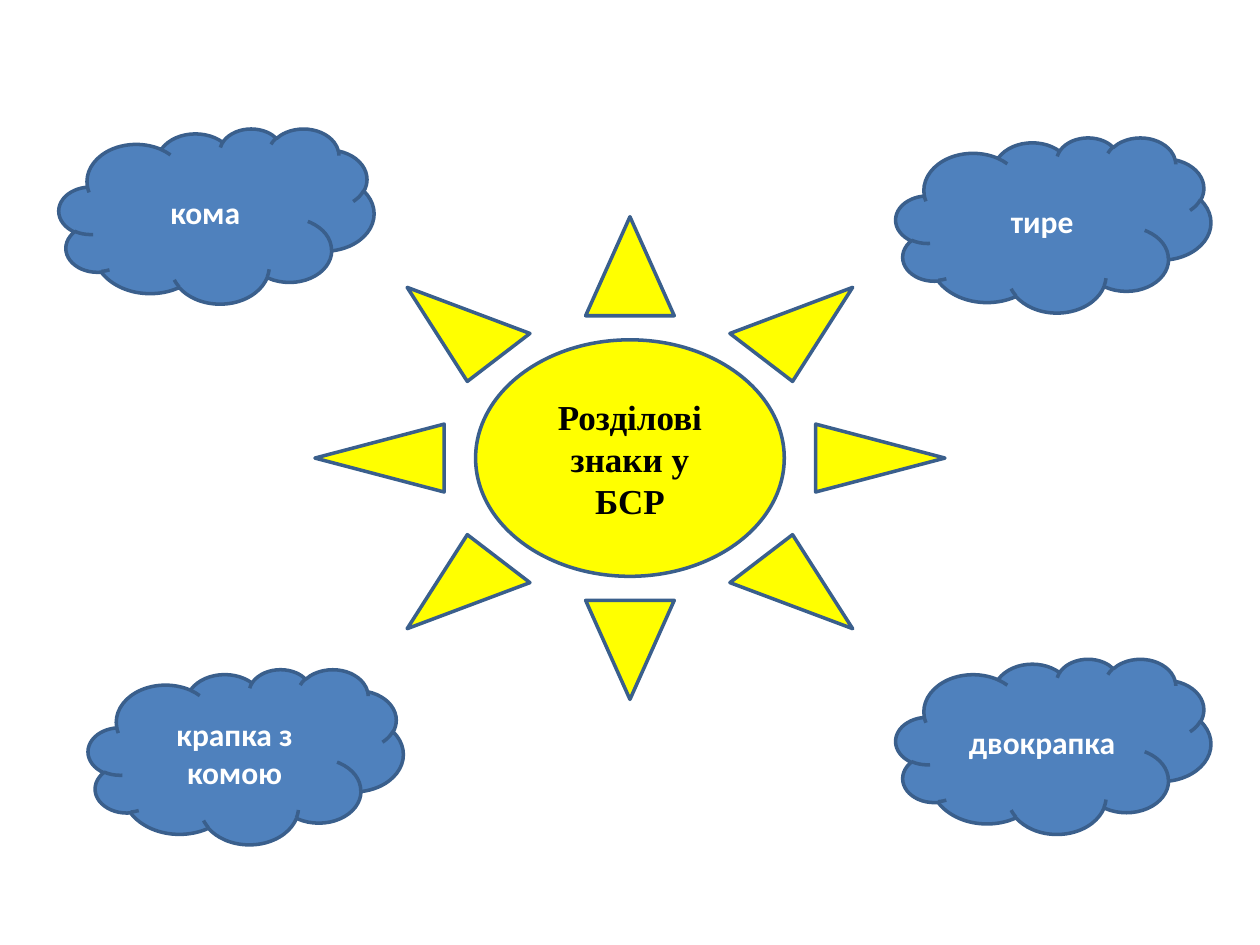
from dataclasses import dataclass
from typing import NamedTuple

from pptx import Presentation
from pptx.dml.color import RGBColor as Rgb
from pptx.enum.shapes import MSO_SHAPE as Preset
from pptx.enum.text import MSO_ANCHOR as Anchor, PP_ALIGN as Align
from pptx.util import Cm, Pt


class Box(NamedTuple):
    left: float
    top: float
    width: float
    height: float


@dataclass(frozen=True)
class Theme:
    sun: str = "FFFF00"
    cloud: str = "4F81BD"
    outline: str = "3A5F8C"
    dark: str = "000000"
    light: str = "FFFFFF"
    title_font: str = "Times New Roman"
    label_font: str = "Calibri"
    title_size: int = 20
    label_size: int = 18
    line_width: int = 2


THEME = Theme()
CLOUD_WIDTH, CLOUD_HEIGHT = 6.35, 3.53


def write_text(shape, text, *, font, size, color, bold=True):
    frame = shape.text_frame
    frame.word_wrap = True
    frame.vertical_anchor = Anchor.MIDDLE
    para = frame.paragraphs[0]
    para.alignment = Align.CENTER
    span = para.add_run()
    span.text = text
    span.font.name = font
    span.font.size = Pt(size)
    span.font.bold = bold
    span.font.color.rgb = Rgb.from_string(color)


def add_outlined(page, preset, box, fill):
    shape = page.shapes.add_shape(preset, *(Cm(length) for length in box))
    shape.shadow.inherit = False
    shape.fill.solid()
    shape.fill.fore_color.rgb = Rgb.from_string(fill)
    shape.line.color.rgb = Rgb.from_string(THEME.outline)
    shape.line.width = Pt(THEME.line_width)
    return shape


def add_sun(page, box, text):
    sun = add_outlined(page, Preset.SUN, box, THEME.sun)
    sun.adjustments[0] = 0.255
    write_text(sun, text, font=THEME.title_font, size=THEME.title_size, color=THEME.dark)


def add_cloud(page, box, text):
    cloud = add_outlined(page, Preset.CLOUD, box, THEME.cloud)
    write_text(cloud, text, font=THEME.label_font, size=THEME.label_size, color=THEME.light)


def main():
    deck = Presentation()
    deck.slide_width, deck.slide_height = Cm(25.4), Cm(19.05)
    page = deck.slides.add_slide(deck.slide_layouts[6])

    add_sun(page, Box(6.35, 4.37, 12.7, 9.73), "Розділові знаки у БСР")
    clouds = [
        ("кома", 1.19, 2.59),
        ("тире", 18.06, 2.77),
        ("крапка з комою", 1.78, 13.49),
        ("двокрапка", 18.06, 13.28),
    ]
    for text, left, top in clouds:
        add_cloud(page, Box(left, top, CLOUD_WIDTH, CLOUD_HEIGHT), text)

    deck.save("out.pptx")


if __name__ == "__main__":
    main()
